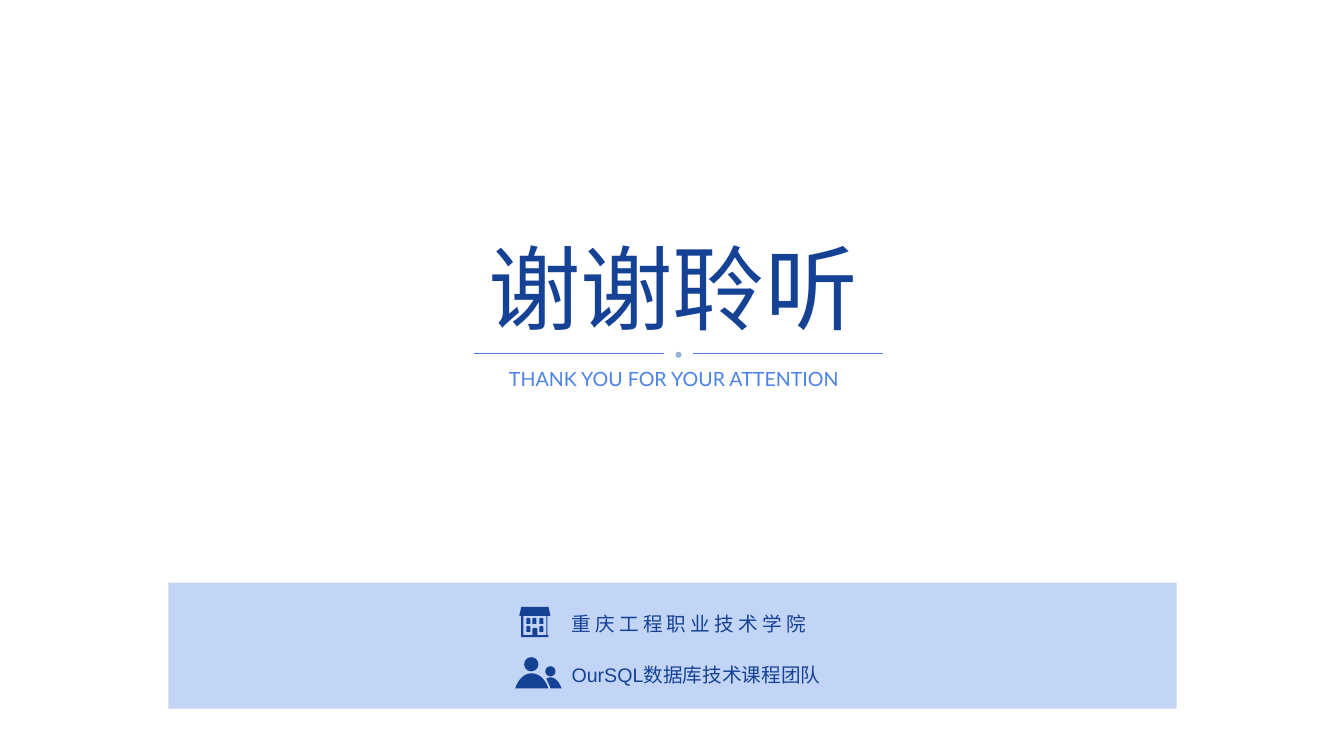
import math
from dataclasses import dataclass

import pptx
import pptx.dml.color
import pptx.enum.shapes
import pptx.enum.text
import pptx.oxml
import pptx.oxml.ns
import pptx.util
from pptx.util import Inches

COLORS = {"navy": "154295", "blue": "4C82E6", "dot": "95B3D7", "band": "C3D5F7"}
CJK_FONT = "Noto Sans CJK SC"
ALIGN = pptx.enum.text.PP_ALIGN
SHAPES = pptx.enum.shapes.MSO_SHAPE

Point = tuple[float, float]
Contour = list[Point]


@dataclass
class Label:
    text: str
    left: float
    top: float
    width: float
    height: float
    size: float
    font: str
    color: str
    align: ALIGN
    wrap: bool = False
    spacing: int = 0


@dataclass
class Block:
    kind: SHAPES
    left: float
    top: float
    width: float
    height: float
    color: str


@dataclass
class Rule:
    left: float
    right: float
    y: float


TITLE = Label("谢谢聆听", 4.7, 2.24, 3.95, 1.21, 66, CJK_FONT, "navy", ALIGN.CENTER, True)
SUBTITLE = Label("THANK YOU FOR YOUR ATTENTION", 4.92, 3.61, 3.53, 0.3, 14, "Lato", "blue", ALIGN.CENTER)
CREDITS = [
    Label("重庆工程职业技术学院", 5.57, 6.04, 2.49, 0.3, 14, "Arial", "navy", ALIGN.JUSTIFY, spacing=300),
    Label("OurSQL数据库技术课程团队", 5.57, 6.54, 2.59, 0.3, 14, "Arial", "navy", ALIGN.LEFT),
]
BLOCKS = [
    Block(SHAPES.OVAL, 6.7, 3.49, 0.06, 0.06, "dot"),
    Block(SHAPES.RECTANGLE, 1.67, 5.78, 10, 1.25, "band"),
]
RULES = [Rule(4.7, 6.59, 3.51), Rule(6.87, 8.76, 3.51)]


def rgb(name: str) -> pptx.dml.color.RGBColor:
    return pptx.dml.color.RGBColor.from_string(COLORS[name])


def apply_format(target: object, values: dict[str, object]) -> None:
    for name, value in values.items():
        setattr(target, name, value)


def write_label(box, label: Label) -> None:
    apply_format(box, {
        "left": Inches(label.left), "top": Inches(label.top),
        "width": Inches(label.width), "height": Inches(label.height),
    })
    frame = box.text_frame
    apply_format(frame, {
        "auto_size": pptx.enum.text.MSO_AUTO_SIZE.NONE,
        "word_wrap": label.wrap,
        "vertical_anchor": pptx.enum.text.MSO_ANCHOR.MIDDLE,
    })
    para = frame.paragraphs[0]
    apply_format(para, {"alignment": label.align, "space_before": pptx.util.Pt(0)})
    span = para.add_run()
    span.text = label.text
    apply_format(span.font, {"size": pptx.util.Pt(label.size), "name": label.font})
    span.font.color.rgb = rgb(label.color)
    properties = span.font._element
    east_asian = pptx.oxml.parse_xml(
        f'<a:ea {pptx.oxml.ns.nsdecls("a")} typeface="{CJK_FONT}"/>'
    )
    properties.find(pptx.oxml.ns.qn("a:latin")).addnext(east_asian)
    if label.spacing:
        properties.set("spc", str(label.spacing))


def paint(shape, color: str) -> None:
    shape.shadow.inherit = False
    shape.fill.solid()
    shape.fill.fore_color.rgb = rgb(color)
    shape.line.fill.background()


def draw_block(page, block: Block) -> None:
    shape = page.shapes.add_shape(
        block.kind, Inches(block.left), Inches(block.top), Inches(block.width), Inches(block.height)
    )
    paint(shape, block.color)


def draw_rule(page, rule: Rule) -> None:
    line = page.shapes.add_connector(
        pptx.enum.shapes.MSO_CONNECTOR.STRAIGHT,
        Inches(rule.left), Inches(rule.y), Inches(rule.right), Inches(rule.y),
    )
    line.line.color.rgb = rgb("blue")
    line.line.width = pptx.util.Pt(1)
    line._element.spPr.append(pptx.oxml.parse_xml(f'<a:effectLst {pptx.oxml.ns.nsdecls("a")}/>'))


def draw_icon(page, contours: list[Contour], color: str) -> None:
    scaled = [[(Inches(x), Inches(y)) for x, y in contour] for contour in contours]
    builder = page.shapes.build_freeform(*scaled[0][0])
    for index, contour in enumerate(scaled):
        if index:
            builder.move_to(*contour[0])
        builder.add_line_segments(contour[1:], close=True)
    paint(builder.convert_to_shape(), color)


def circle(x: float, y: float, radius: float, steps: int = 32) -> Contour:
    angles = [math.tau * step / steps for step in range(steps)]
    return [(x + radius * math.cos(angle), y + radius * math.sin(angle)) for angle in angles]


def curve(start: Point, first: Point, second: Point, end: Point, steps: int = 16) -> Contour:
    def blend(t: float, axis: int) -> float:
        u = 1 - t
        return (u**3 * start[axis] + 3 * u * u * t * first[axis]
                + 3 * u * t * t * second[axis] + t**3 * end[axis])

    return [(blend(step / steps, 0), blend(step / steps, 1)) for step in range(steps + 1)]


def window(left: float, top: float) -> Contour:
    right, bottom, bevel = left + 0.04, top + 0.06, 0.01
    return [(left, bottom), (left, top + bevel), (left + bevel, top),
            (right - bevel, top), (right, top + bevel), (right, bottom)]


def people_contours() -> list[Contour]:
    large_body = (curve((5.11, 6.83), (5.14, 6.74), (5.2, 6.68), (5.27, 6.68))
                  + curve((5.27, 6.68), (5.35, 6.68), (5.41, 6.74), (5.44, 6.83)))
    small_body = (curve((5.46, 6.83), (5.45, 6.79), (5.43, 6.76), (5.42, 6.73))
                  + curve((5.42, 6.73), (5.43, 6.73), (5.44, 6.72), (5.46, 6.72))
                  + curve((5.46, 6.72), (5.51, 6.72), (5.55, 6.77), (5.57, 6.83)))
    return [large_body, small_body, circle(5.27, 6.59, 0.07), circle(5.46, 6.66, 0.05)]


def building_contours() -> list[Contour]:
    outline = [(5.17, 6.02), (5.44, 6.02), (5.46, 6.11), (5.43, 6.11), (5.43, 6.3), (5.44, 6.3),
               (5.44, 6.32), (5.17, 6.32), (5.17, 6.11), (5.15, 6.11)]
    wall = [(5.19, 6.11), (5.19, 6.3), (5.28, 6.3), (5.28, 6.24), (5.29, 6.23),
            (5.32, 6.23), (5.33, 6.24), (5.33, 6.3), (5.42, 6.3), (5.42, 6.11)]
    upper = [window(left, 6.13) for left in (5.22, 5.28, 5.35)]
    lower = [window(left, 6.21) for left in (5.22, 5.35)]
    return [outline, wall, *upper, *lower]


def main() -> None:
    deck = pptx.Presentation()
    apply_format(deck, {"slide_width": Inches(13.33), "slide_height": Inches(7.5)})
    page = deck.slides.add_slide(deck.slide_layouts[0])
    write_label(page.shapes.title, TITLE)
    write_label(page.placeholders[1], SUBTITLE)
    for block in BLOCKS:
        draw_block(page, block)
    for rule in RULES:
        draw_rule(page, rule)
    for label in CREDITS:
        write_label(page.shapes.add_textbox(0, 0, 0, 0), label)
    for contours in (people_contours(), building_contours()):
        draw_icon(page, contours, "navy")
    deck.save("out.pptx")


if __name__ == "__main__":
    main()
